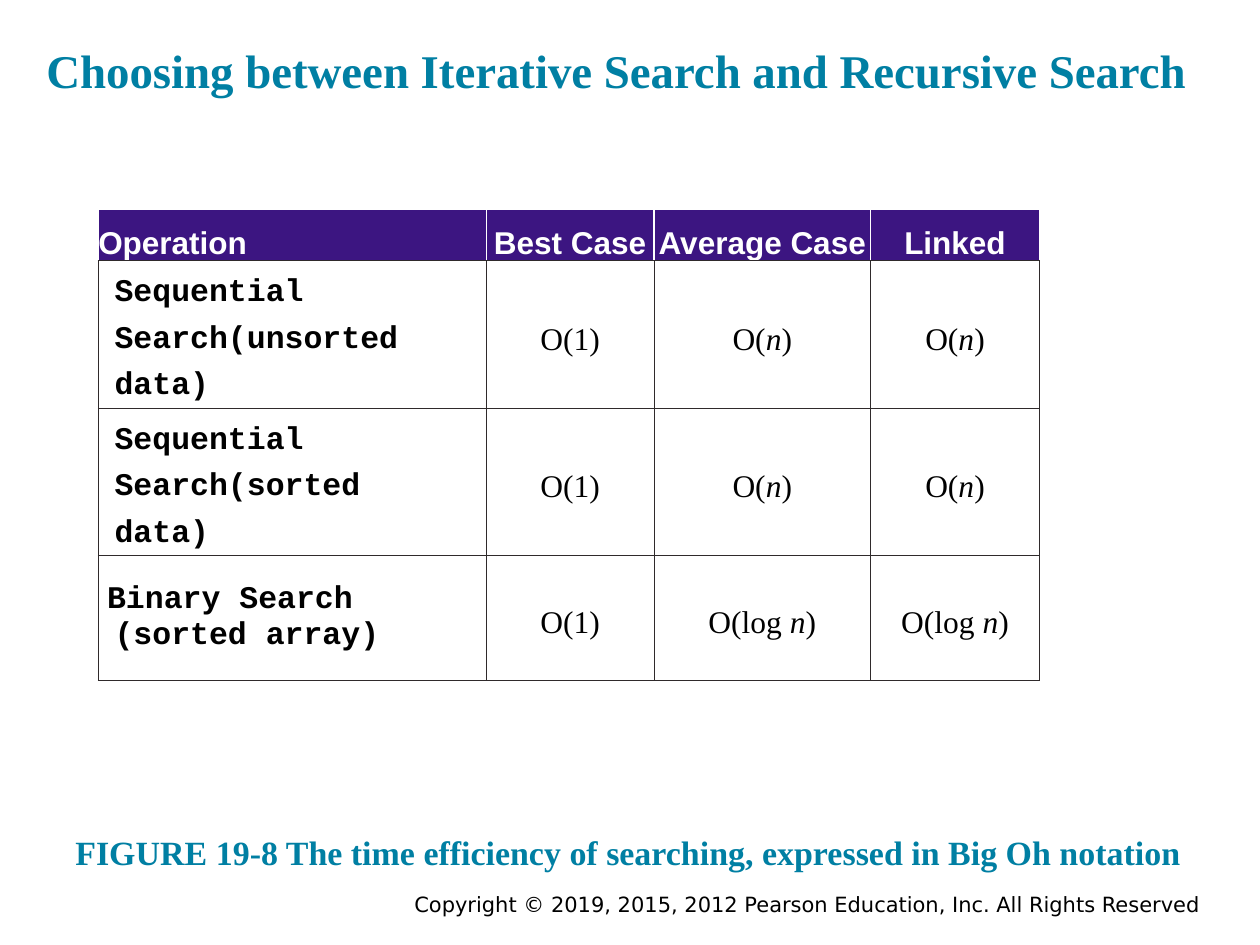
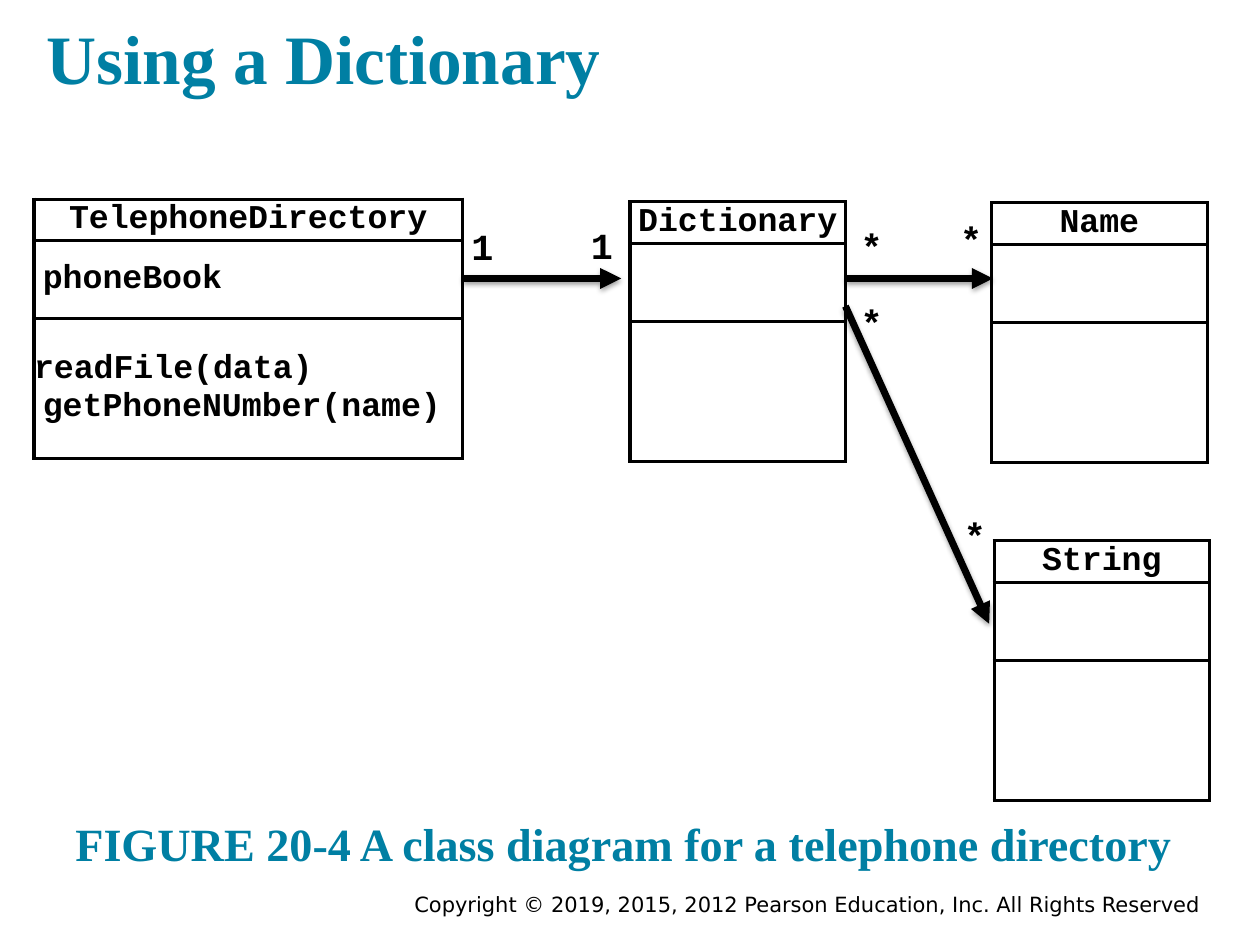
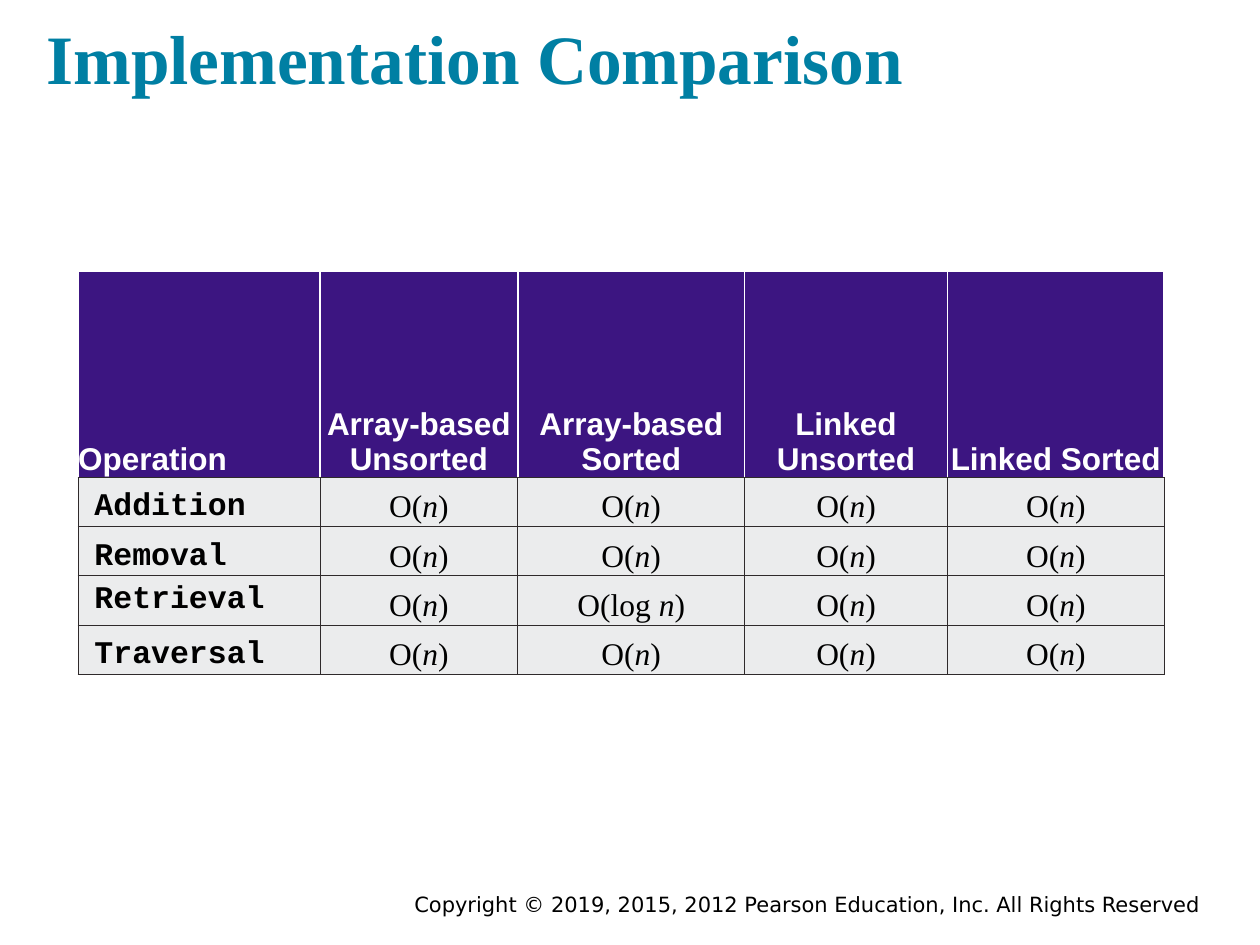
from dataclasses import dataclass
from typing import Optional, Sequence

from lxml.etree import SubElement
from pptx import Presentation
from pptx.dml.color import RGBColor
from pptx.enum.shapes import MSO_CONNECTOR as Connector
from pptx.enum.text import MSO_ANCHOR as Anchor, MSO_AUTO_SIZE as AutoSize, PP_ALIGN as Align
from pptx.oxml import parse_xml
from pptx.oxml.ns import nsdecls, qn
from pptx.util import Emu, Inches, Pt

COLUMNS, ROWS = 100, 75
SLIDE_WIDTH, SLIDE_HEIGHT = Inches(10), Inches(7.5)
COPYRIGHT = "Copyright © 2019, 2015, 2012 Pearson Education, Inc. All Rights Reserved"


@dataclass(frozen=True)
class Style:
    """A font with its size and colour."""
    name: str
    size: float
    color: str
    bold: bool = True


@dataclass(frozen=True)
class Theme:
    """Colours, line widths and type styles shared by the slides."""
    accent: str = "007FA3"
    header_fill: str = "3C1581"
    rule: str = "2F2A2B"
    white: str = "FFFFFF"
    black: str = "000000"
    gray: str = "EBECED"
    rule_width: float = 0.5
    header_rule_width: float = 1
    class_rule_width: float = 2
    arrow_width: float = 4
    copyright: Style = Style("DejaVu Sans", 12, black, False)
    title: Style = Style("Times New Roman", 39.6, accent)
    long_title: Style = Style("Times New Roman", 26.8, accent)
    caption: Style = Style("Times New Roman", 26.4, accent)
    long_caption: Style = Style("Times New Roman", 19.4, accent)
    header: Style = Style("Arial", 18, white)
    label: Style = Style("Courier New", 18, black)
    order: Style = Style("Times New Roman", 18, black, False)
    member: Style = Style("Courier New", 19, black)
    mark: Style = Style("Courier New", 21, black)


THEME = Theme()


@dataclass(frozen=True)
class Box:
    """A place on the grid, in columns and rows."""
    left: float
    top: float
    width: float
    height: float


@dataclass(frozen=True)
class OrderTable:
    """A table of operations and their growth orders."""
    left: float
    top: float
    widths: Sequence[float]
    heights: Sequence[float]
    header: Sequence[str]
    body: Sequence[Sequence[str]]
    tight_row: int
    fill: Optional[str] = None


@dataclass(frozen=True)
class ClassBox:
    """A class with its name, fields and methods."""
    left: float
    top: float
    name: str
    width: float = 17.1
    fields: str = ""
    methods: str = ""


@dataclass(frozen=True)
class Arrow:
    """An association from one class to another."""
    start: tuple[float, float]
    end: tuple[float, float]


@dataclass(frozen=True)
class Mark:
    """A multiplicity beside an association."""
    left: float
    top: float
    text: str


CLASS_HEIGHTS = (3.3, 6.2, 11.1)
COPYRIGHT_BOX = Box(17.5, 70.3, 78.3, 3.1)
TITLE_BOX = Box(2.7, 0, 93.1, 8.8)
CAPTION_BOX = Box(5, 63.8, 90, 6.4)

SEARCHING = OrderTable(
    7.8, 16.6, (30.8, 13.3, 17.2, 13.4), (4.1, 11.05, 11.05, 9.9),
    ("Operation", "Best Case", "Average Case", "Linked"),
    (("Sequential Search(unsorted data)", "O(1)", "O(n)", "O(n)"),
     ("Sequential Search(sorted data)", "O(1)", "O(n)", "O(n)"),
     ("Binary Search\n(sorted array)", "O(1)", "O(log n)", "O(log n)")),
    tight_row=2)

LINEAR = ("O(n)",) * 4
DICTIONARIES = OrderTable(
    6.2, 21.5, (19.2, 15.7, 18, 16.1, 17.2), (16.4, 3.9, 3.9, 3.9, 3.9),
    ("Operation", "Array-based Unsorted", "Array-based Sorted", "Linked Unsorted", "Linked Sorted"),
    (("Addition", *LINEAR),
     ("Removal", *LINEAR),
     ("Retrieval", "O(n)", "O(log n)", "O(n)", "O(n)"),
     ("Traversal", *LINEAR)),
    tight_row=2, fill=THEME.gray)

CLASSES = (
    ClassBox(2.7, 15.8, "TelephoneDirectory", 34, "phoneBook", "readFile(data)\ngetPhoneNUmber(name)"),
    ClassBox(50, 16, "Dictionary"),
    ClassBox(78.7, 16.1, "Name"),
    ClassBox(78.9, 42.9, "String"),
)
ARROWS = (
    Arrow((36.8, 22.1), (49.3, 22.1)),
    Arrow((67.2, 22.1), (78.8, 22.1)),
    Arrow((67.1, 24.3), (78.5, 49.5)),
)
MARKS = (
    Mark(36.9, 17.3, "1"), Mark(46.4, 17.2, "1"), Mark(75.7, 16.7, "*"),
    Mark(67.8, 17.3, "*"), Mark(67.8, 23.3, "*"), Mark(76, 40.2, "*"),
)


def across(columns: float) -> Emu:
    """Turn grid columns into a length."""
    return Emu(round(SLIDE_WIDTH * columns / COLUMNS))


def down(rows: float) -> Emu:
    """Turn grid rows into a length."""
    return Emu(round(SLIDE_HEIGHT * rows / ROWS))


def place(box: Box) -> tuple[Emu, Emu, Emu, Emu]:
    """Turn a grid box into left, top, width and height."""
    return across(box.left), down(box.top), across(box.width), down(box.height)


def style_runs(paragraph, style: Style) -> None:
    """Format every run of a paragraph."""
    for run in paragraph.runs:
        run.font.name = style.name
        run.font.size = Pt(style.size)
        run.font.bold = style.bold
        run.font.color.rgb = RGBColor.from_string(style.color)


def set_indent(paragraph, margin: float, first_line: float) -> None:
    """Set the left margin and first line indent in grid columns."""
    properties = paragraph._p.get_or_add_pPr()
    properties.set("marL", str(across(margin)))
    properties.set("indent", str(across(first_line)))


def add_text(slide, box: Box, text: str, style: Style, inset: float = 1,
             align: Align = Align.LEFT, anchor: Anchor = Anchor.BOTTOM, wrap: bool = True):
    """Add one styled line of text and return its frame."""
    text_frame = slide.shapes.add_textbox(*place(box)).text_frame
    text_frame.word_wrap = wrap
    text_frame.vertical_anchor = anchor
    text_frame.margin_left = text_frame.margin_right = across(inset)
    text_frame.margin_top = text_frame.margin_bottom = down(inset)
    text_frame.text = text
    paragraph = text_frame.paragraphs[0]
    paragraph.alignment = align
    style_runs(paragraph, style)
    return text_frame


def add_slide(presentation, title: str, style: Style):
    """Add a blank slide with its title and copyright line."""
    slide = presentation.slides.add_slide(presentation.slide_layouts[6])
    add_text(slide, COPYRIGHT_BOX, COPYRIGHT, THEME.copyright, 0.5, Align.RIGHT, Anchor.TOP)
    add_text(slide, TITLE_BOX, title, style)
    return slide


def add_plain_table(slide, left: float, top: float, widths: Sequence[float], heights: Sequence[float]):
    """Add a table without banding, sized by its columns and rows."""
    box = Box(left, top, sum(widths), sum(heights))
    table = slide.shapes.add_table(len(heights), len(widths), *place(box)).table
    table.first_row = table.horz_banding = False
    for column, width in zip(table.columns, widths):
        column.width = across(width)
    for row, height in zip(table.rows, heights):
        row.height = down(height)
    return table


def dress_cell(cell, color: str, width: float, fill: Optional[str] = None,
               bottom: Optional[tuple[str, float]] = None) -> None:
    """Set the borders and fill of a cell."""
    properties = cell._tc.get_or_add_tcPr()
    edges = {"a:lnL": (color, width), "a:lnR": (color, width),
             "a:lnT": (color, width), "a:lnB": bottom or (color, width)}
    for tag, (edge_color, edge_width) in edges.items():
        line = SubElement(properties, qn(tag), w=str(Pt(edge_width)))
        SubElement(SubElement(line, qn("a:solidFill")), qn("a:srgbClr"), val=edge_color)
    if fill:
        cell.fill.solid()
        cell.fill.fore_color.rgb = RGBColor.from_string(fill)
    else:
        cell.fill.background()


def set_cell_space(cell, anchor: Anchor, left: float = 0, right: float = 0) -> None:
    """Set the anchor and side margins of a cell."""
    cell.vertical_anchor = anchor
    cell.margin_left, cell.margin_right = across(left), across(right)
    cell.margin_top = cell.margin_bottom = 0


def write_cell(cell, text: str, style: Style, align: Align = Align.LEFT):
    """Write one styled paragraph in a cell and return it."""
    paragraph = cell.text_frame.paragraphs[0]
    paragraph.text = text
    paragraph.alignment = align
    style_runs(paragraph, style)
    return paragraph


def write_order(cell, text: str) -> None:
    """Write a growth order with its variable in italics."""
    paragraph = cell.text_frame.paragraphs[0]
    for piece in filter(None, text.partition("n")):
        run = paragraph.add_run()
        run.text = piece
        run.font.italic = piece == "n"
    paragraph.alignment = Align.CENTER
    paragraph.line_spacing = 1.3
    style_runs(paragraph, THEME.order)


def write_label(cell, text: str, tight: bool) -> None:
    """Write the name of an operation."""
    paragraph = write_cell(cell, text, THEME.label)
    set_indent(paragraph, 0.6, -0.6 if "\n" in text else 0)
    if not tight:
        paragraph.line_spacing = 1.3


def add_order_table(slide, item: OrderTable) -> None:
    """Draw a table of growth orders."""
    table = add_plain_table(slide, item.left, item.top, item.widths, item.heights)
    for index, text in enumerate(item.header):
        cell = table.cell(0, index)
        set_cell_space(cell, Anchor.BOTTOM)
        write_cell(cell, text, THEME.header, Align.CENTER if index else Align.LEFT)
        dress_cell(cell, THEME.white, THEME.header_rule_width, THEME.header_fill,
                   (THEME.rule, THEME.rule_width))
    for row, (label, *orders) in enumerate(item.body):
        label_cell, *order_cells = table.rows[row + 1].cells
        set_cell_space(label_cell, Anchor.MIDDLE, 0.7, 1.2)
        write_label(label_cell, label, row == item.tight_row)
        dress_cell(label_cell, THEME.rule, THEME.rule_width, item.fill)
        for cell, order in zip(order_cells, orders):
            set_cell_space(cell, Anchor.MIDDLE, 0.7, 0.7)
            write_order(cell, order)
            dress_cell(cell, THEME.rule, THEME.rule_width, item.fill)


def add_class(slide, item: ClassBox) -> None:
    """Draw a class as a table of three compartments."""
    table = add_plain_table(slide, item.left, item.top, (item.width,), CLASS_HEIGHTS)
    for row, text in enumerate((item.name, item.fields, item.methods)):
        cell = table.cell(row, 0)
        set_cell_space(cell, Anchor.MIDDLE)
        if text:
            paragraph = write_cell(cell, text, THEME.member, Align.LEFT if row else Align.CENTER)
            if row:
                set_indent(paragraph, 0.7, -0.7 if "\n" in text else 0)
        dress_cell(cell, THEME.black, THEME.class_rule_width)


def add_arrow(slide, item: Arrow) -> None:
    """Draw an association arrow with a soft shadow."""
    (start_x, start_y), (end_x, end_y) = item.start, item.end
    connector = slide.shapes.add_connector(
        Connector.STRAIGHT, across(start_x), down(start_y), across(end_x), down(end_y))
    connector.line.color.rgb = RGBColor.from_string(THEME.black)
    connector.line.width = Pt(THEME.arrow_width)
    SubElement(connector.line._get_or_add_ln(), qn("a:tailEnd"), type="triangle")
    connector._element.spPr.append(parse_xml(
        f'<a:effectLst {nsdecls("a")}>'
        f'<a:outerShdw blurRad="{Pt(3)}" dist="{Pt(1.6)}" dir="5400000" rotWithShape="0">'
        f'<a:srgbClr val="{THEME.black}"><a:alpha val="38000"/></a:srgbClr>'
        '</a:outerShdw></a:effectLst>'))


def add_mark(slide, item: Mark) -> None:
    """Write a multiplicity."""
    box = Box(item.left, item.top, 2.9, 4.2)
    text_frame = add_text(slide, box, item.text, THEME.mark, 0.5, anchor=Anchor.TOP, wrap=False)
    text_frame.auto_size = AutoSize.SHAPE_TO_FIT_TEXT


def build_search_slide(presentation) -> None:
    """Build the comparison of searches."""
    slide = add_slide(presentation, "Choosing between Iterative Search and Recursive Search",
                      THEME.long_title)
    add_text(slide, CAPTION_BOX,
             "FIGURE 19-8 The time efficiency of searching, expressed in Big Oh notation",
             THEME.long_caption)
    add_order_table(slide, SEARCHING)


def build_directory_slide(presentation) -> None:
    """Build the class diagram of the telephone directory."""
    slide = add_slide(presentation, "Using a Dictionary", THEME.title)
    caption = add_text(slide, CAPTION_BOX, "FIGURE 20-4 A class diagram for a telephone directory",
                       THEME.caption)
    caption.paragraphs[0].line_spacing = 0.9
    for item in CLASSES:
        add_class(slide, item)
    for item in ARROWS:
        add_arrow(slide, item)
    for item in MARKS:
        add_mark(slide, item)


def build_implementation_slide(presentation) -> None:
    """Build the comparison of dictionary implementations."""
    slide = add_slide(presentation, "Implementation Comparison", THEME.title)
    add_order_table(slide, DICTIONARIES)


def main() -> None:
    """Build and save the presentation."""
    presentation = Presentation()
    presentation.slide_width, presentation.slide_height = SLIDE_WIDTH, SLIDE_HEIGHT
    build_search_slide(presentation)
    build_directory_slide(presentation)
    build_implementation_slide(presentation)
    presentation.save("out.pptx")


if __name__ == "__main__":
    main()
